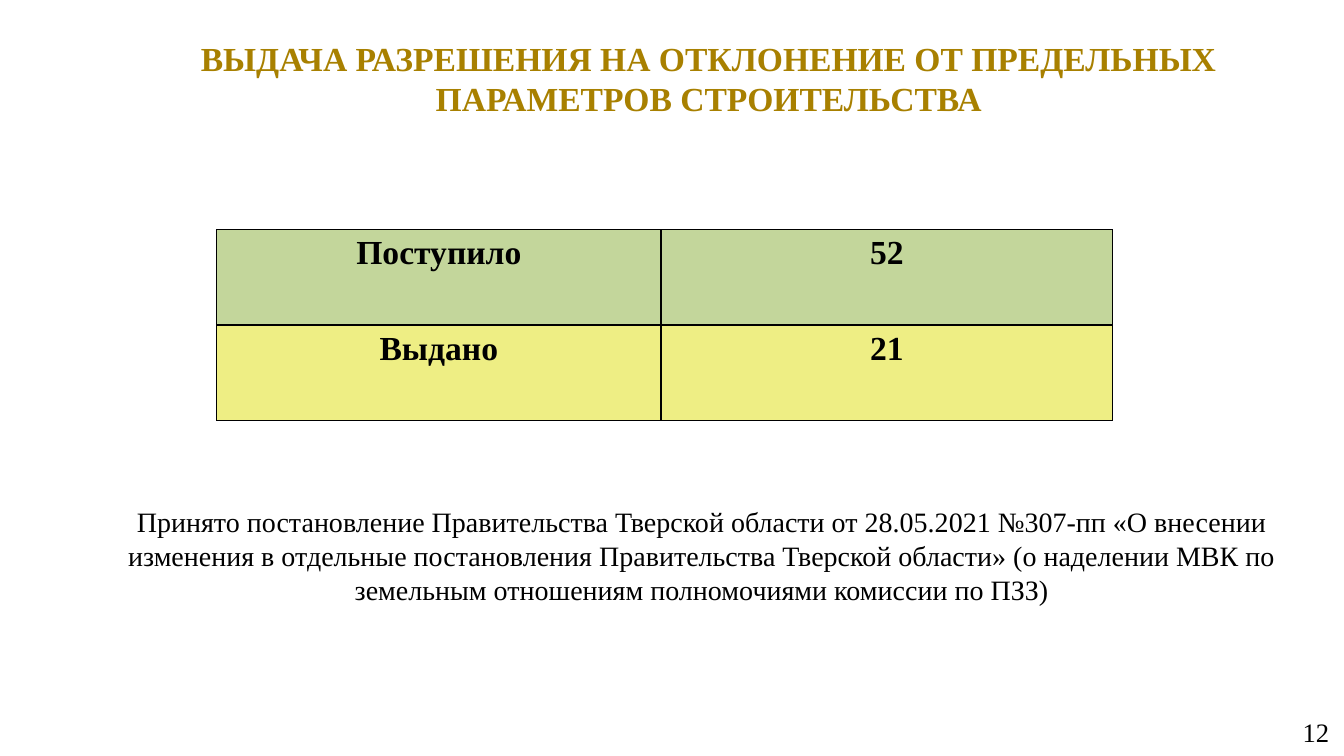
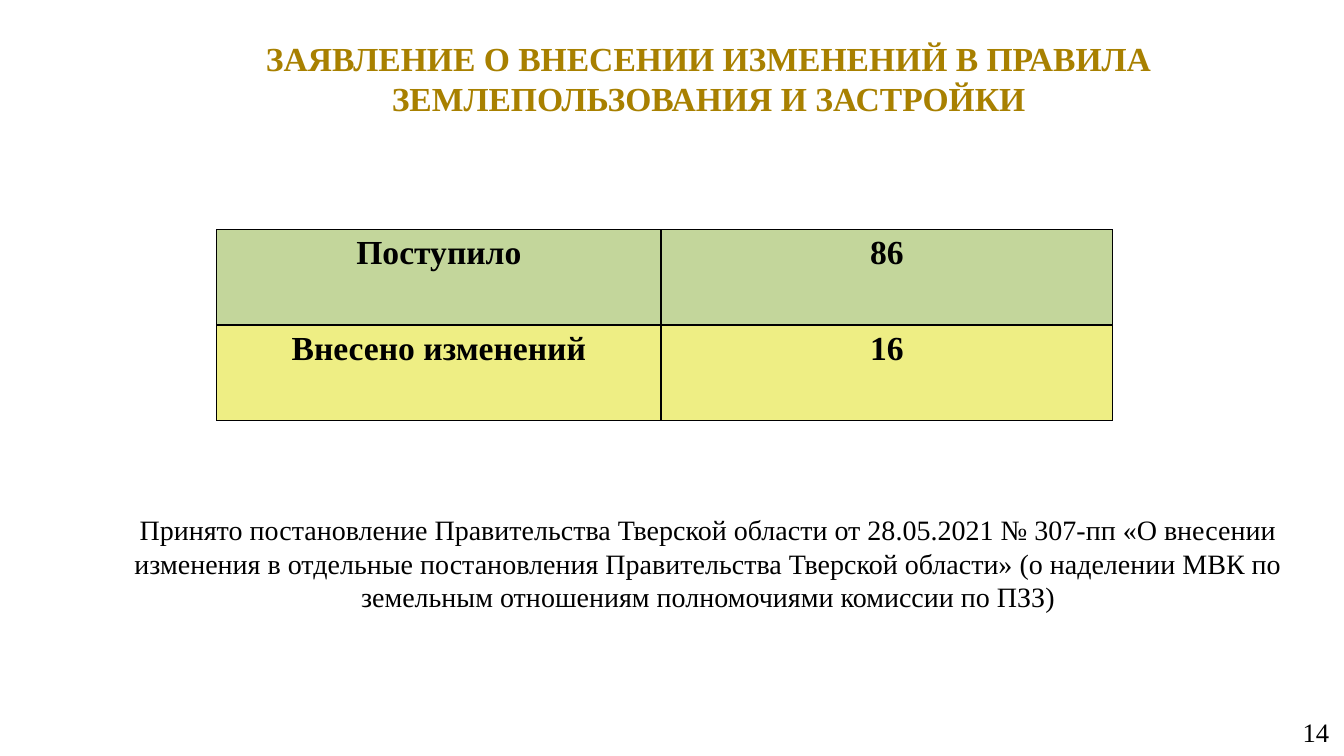
from lxml import etree
from pptx import Presentation
from pptx.dml.color import RGBColor
from pptx.enum import text
from pptx.oxml import ns
from pptx.util import Cm, Pt

# Content
SLIDES = [
    {
        "title": "ВЫДАЧА РАЗРЕШЕНИЯ НА ОТКЛОНЕНИЕ ОТ ПРЕДЕЛЬНЫХ ПАРАМЕТРОВ СТРОИТЕЛЬСТВА",
        "rows": [("Поступило", "52"), ("Выдано", "21")],
        "note": "Принято постановление Правительства Тверской области от 28.05.2021 "
                "№307-пп «О внесении изменения в отдельные постановления Правительства "
                "Тверской области» (о наделении МВК по земельным отношениям "
                "полномочиями комиссии по ПЗЗ)",
        "note_box": (2.57, 12.65, 30.23, 2.69),
        "number": "12",
    },
    {
        "title": "ЗАЯВЛЕНИЕ О ВНЕСЕНИИ ИЗМЕНЕНИЙ В ПРАВИЛА ЗЕМЛЕПОЛЬЗОВАНИЯ И ЗАСТРОЙКИ",
        "rows": [("Поступило", "86"), ("Внесено изменений", "16")],
        "note": "Принято постановление Правительства Тверской области от 28.05.2021 "
                "№ 307-пп «О внесении изменения в отдельные постановления Правительства "
                "Тверской области» (о наделении МВК по земельным отношениям "
                "полномочиями комиссии по ПЗЗ)",
        "note_box": (2.54, 11.94, 30.61, 4.5),
        "number": "14",
    },
]

# Shared style, lengths in centimetres
FONT = "Times New Roman"
GOLD = RGBColor(0xA8, 0x80, 0x00)
BLACK = RGBColor(0x00, 0x00, 0x00)
GREEN = RGBColor(0xC3, 0xD6, 0x9B)
YELLOW = RGBColor(0xEE, 0xEE, 0x84)
ROW_FILLS = (GREEN, YELLOW)
TITLE_BOX = (3.33, 0.71, 29.06, 2.51)
NUMBER_BOX = (25.96, 17.96, 7.87, 0.99)
TABLE_LEFT, TABLE_TOP = 5.46, 5.79
COLUMN_WIDTHS = (11.2, 11.38)
ROW_HEIGHT = 2.4
BORDER_WIDTH = Pt(0.96)


def write(frame, words, size, color=BLACK, bold=False, align=text.PP_ALIGN.CENTER):
    """Put one unbulleted paragraph in a text frame."""
    frame.text = words
    paragraph = frame.paragraphs[0]
    properties = paragraph._p.get_or_add_pPr()
    properties.set("marL", "0")
    properties.set("indent", "0")
    etree.SubElement(properties, ns.qn("a:buNone"))
    paragraph.alignment = align
    paragraph.space_before = Pt(0)
    font = paragraph.runs[0].font
    font.name, font.size, font.bold = FONT, Pt(size), bold
    font.color.rgb = color


def fill_box(shape, box, words, size, **style):
    """Place a text shape and write in it."""
    shape.left, shape.top, shape.width, shape.height = map(Cm, box)
    frame = shape.text_frame
    frame.word_wrap = True
    frame.auto_size = text.MSO_AUTO_SIZE.NONE
    frame.vertical_anchor = text.MSO_ANCHOR.MIDDLE
    frame.margin_left = frame.margin_right = Cm(0.33)
    frame.margin_top = frame.margin_bottom = Cm(0.18)
    write(frame, words, size, **style)


def add_borders(cell):
    properties = cell._tc.get_or_add_tcPr()
    for side in ("lnL", "lnR", "lnT", "lnB"):
        line = etree.SubElement(properties, ns.qn(f"a:{side}"), w=str(BORDER_WIDTH))
        solid = etree.SubElement(line, ns.qn("a:solidFill"))
        etree.SubElement(solid, ns.qn("a:srgbClr"), val=str(BLACK))


def add_totals_table(slide, rows):
    table = slide.shapes.add_table(
        len(rows), len(COLUMN_WIDTHS), Cm(TABLE_LEFT), Cm(TABLE_TOP),
        Cm(sum(COLUMN_WIDTHS)), Cm(ROW_HEIGHT * len(rows))).table
    for column, width in zip(table.columns, COLUMN_WIDTHS):
        column.width = Cm(width)
    for row, values, color in zip(table.rows, rows, ROW_FILLS):
        row.height = Cm(ROW_HEIGHT)
        for cell, value in zip(row.cells, values):
            add_borders(cell)
            cell.fill.solid()
            cell.fill.fore_color.rgb = color
            cell.margin_left = cell.margin_right = Cm(0.33)
            cell.margin_top = cell.margin_bottom = Cm(0.13)
            write(cell.text_frame, value, 24, bold=True)


def main():
    presentation = Presentation()
    presentation.slide_width, presentation.slide_height = Cm(33.87), Cm(19.05)
    layout = presentation.slide_layouts.get_by_name("Title and Content")
    for content in SLIDES:
        slide = presentation.slides.add_slide(layout)
        fill_box(slide.shapes.title, TITLE_BOX, content["title"], 24,
                 color=GOLD, bold=True)
        fill_box(slide.placeholders[1], content["note_box"], content["note"], 20)
        add_totals_table(slide, content["rows"])
        number = slide.shapes.add_textbox(*map(Cm, NUMBER_BOX))
        fill_box(number, NUMBER_BOX, content["number"], 19,
                 align=text.PP_ALIGN.RIGHT)
    presentation.save("out.pptx")


if __name__ == "__main__":
    main()
